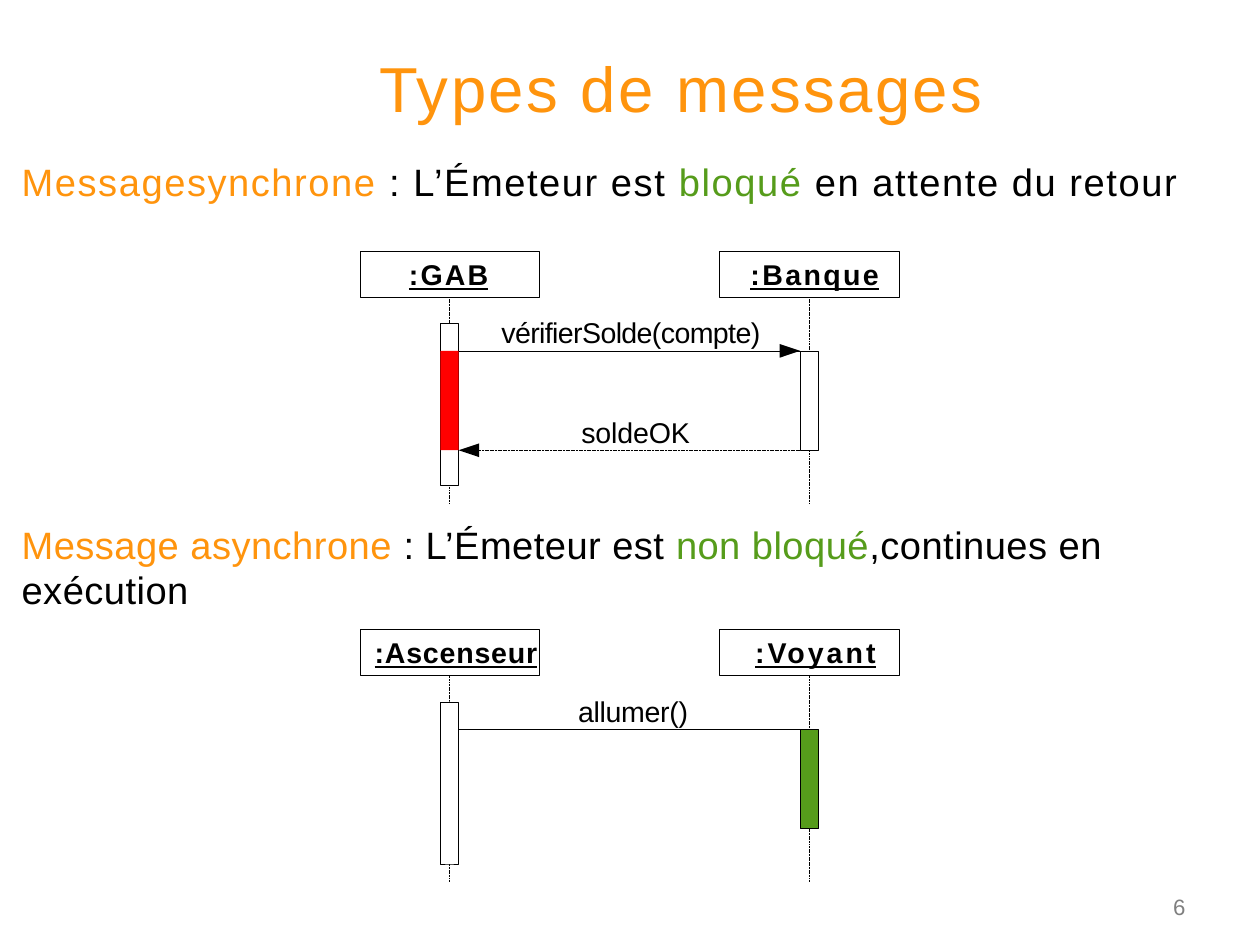
from lxml.etree import SubElement
from pptx import Presentation
from pptx.dml.color import RGBColor
from pptx.enum.dml import MSO_LINE
from pptx.enum.shapes import MSO_CONNECTOR, MSO_SHAPE
from pptx.enum.text import MSO_ANCHOR, PP_ALIGN
from pptx.oxml.ns import qn
from pptx.util import Inches, Pt

BLACK, WHITE, ORANGE, GREEN, RED, GRAY = "000000", "FFFFFF", "FF940D", "569C1B", "FF0000", "7F7F7F"
HEAD_WIDTH, HEAD_HEIGHT, HEAD_STEP = 1.57, 0.4, 3.15
BAR_WIDTH, LIFELINE_END = 0.16, 2.21
CALL_Y, REPLY_Y = 0.87, 1.74


def color(hex_string):
    """Turn a hex string into a colour."""
    return RGBColor.from_string(hex_string)


def write(shape, runs, size, spacing, inset=(0.01, 0.01), before=1, bold=False):
    """Fill a shape with one paragraph of coloured runs."""
    frame = shape.text_frame
    frame.word_wrap = True
    frame.vertical_anchor = MSO_ANCHOR.TOP
    frame.margin_left, frame.margin_top = Inches(inset[0]), Inches(inset[1])
    frame.margin_right = frame.margin_bottom = 0
    paragraph = frame.paragraphs[0]
    paragraph.alignment = PP_ALIGN.LEFT
    paragraph.space_before = Pt(before)
    for text, hex_string in runs:
        run = paragraph.add_run()
        run.text = text
        run.font.name = "Arial"
        run.font.size = Pt(size)
        run.font.bold = run.font.underline = bold
        run.font.color.rgb = color(hex_string)
        run.font._element.set("spc", str(round(spacing * 100)))


def add_text(slide, box, runs, size, spacing, **options):
    """Place a text box."""
    shape = slide.shapes.add_textbox(*map(Inches, box))
    write(shape, runs, size, spacing, **options)


def add_box(slide, box, fill=None, outlined=True):
    """Place a rectangle with a hairline outline."""
    shape = slide.shapes.add_shape(MSO_SHAPE.RECTANGLE, *map(Inches, box))
    shape.shadow.inherit = False
    if fill:
        shape.fill.solid()
        shape.fill.fore_color.rgb = color(fill)
    else:
        shape.fill.background()
    if outlined:
        shape.line.color.rgb = color(BLACK)
        shape.line.width = Pt(0.25)
    else:
        shape.line.fill.background()
    return shape


def add_line(slide, start, end, dashed=False):
    """Draw a straight hairline."""
    line = slide.shapes.add_connector(MSO_CONNECTOR.STRAIGHT, *map(Inches, start + end))
    line.line.color.rgb = color(BLACK)
    line.line.width = Pt(0.25)
    if dashed:
        line.line.dash_style = MSO_LINE.SQUARE_DOT
    SubElement(line._element.spPr, qn("a:effectLst"))
    return line


def add_arrowhead(slide, tip_x, tip_y, direction):
    """Draw a filled arrowhead pointing right (1) or left (-1)."""
    base_x = Inches(tip_x - direction * 0.18)
    builder = slide.shapes.build_freeform(base_x, Inches(tip_y - 0.06))
    builder.add_line_segments([(base_x, Inches(tip_y + 0.06)), (Inches(tip_x), Inches(tip_y))])
    arrowhead = builder.convert_to_shape()
    arrowhead.shadow.inherit = False
    arrowhead.fill.solid()
    arrowhead.fill.fore_color.rgb = color(BLACK)
    arrowhead.line.fill.background()


def add_participant(slide, left, top, head, bar_top, bar_height, bar_fill):
    """Draw a participant with its head, lifeline and activation bar."""
    name, indent, spacing = head
    center = left + HEAD_WIDTH / 2
    head_shape = add_box(slide, (left, top, HEAD_WIDTH, HEAD_HEIGHT))
    write(head_shape, [(name, BLACK)], 18, spacing, (indent, 0.05), 3.8, True)
    lifeline = add_line(slide, (center, top + HEAD_HEIGHT), (center, top + LIFELINE_END), True)
    lifeline.begin_connect(head_shape, 2)
    add_box(slide, (center - BAR_WIDTH / 2, top + bar_top, BAR_WIDTH, bar_height), bar_fill)


def add_sequence(slide, left, top, sender, receiver, call, reply=None, receiver_fill=WHITE):
    """Draw a two-participant diagram, blocking the sender if there is a reply."""
    blocked_height = REPLY_Y - CALL_Y
    add_participant(slide, left, top, sender, 0.63, 1.42, WHITE)
    add_participant(slide, left + HEAD_STEP, top, receiver, CALL_Y, blocked_height, receiver_fill)
    start = left + (HEAD_WIDTH + BAR_WIDTH) / 2
    end = start + HEAD_STEP - BAR_WIDTH
    call_y, reply_y = top + CALL_Y, top + REPLY_Y
    add_line(slide, (start, call_y), (end, call_y))
    messages = [(call, call_y)]
    if reply:
        add_arrowhead(slide, end, call_y, 1)
        add_line(slide, (end, reply_y), (start + 0.18, reply_y), True)
        add_arrowhead(slide, start, reply_y, -1)
        add_box(slide, (start - BAR_WIDTH, call_y, BAR_WIDTH, blocked_height), RED, False)
        messages.append((reply, reply_y))
    for (text, offset, width, spacing), line_y in messages:
        add_text(slide, (left + offset, line_y - 0.32, width, 0.33), [(text, BLACK)], 18, spacing)


def add_texts(slide):
    """Place the title, the two definitions and the page number."""
    add_text(slide, (3.31, 0.42, 6.12, 0.69), [("Types de messages", ORANGE)], 40, 1.6)
    add_text(slide, (0.18, 1.38, 10.68, 0.42), [
        ("Messagesynchrone ", ORANGE), (": L’Émeteur est ", BLACK),
        ("bloqué ", GREEN), ("en attente du retour", BLACK)], 24, 1)
    add_text(slide, (0.18, 4.55, 10.76, 0.82), [
        ("Message asynchrone ", ORANGE), (": L’Émeteur est ", BLACK),
        ("non bloqué", GREEN), (",continues en exécution", BLACK)], 24, 0.3)
    add_text(slide, (10.23, 7.78, 0.39, 0.31), [("6", GRAY)], 14, 6.2, inset=(0.04, 0.04), before=3.1)


def main():
    """Build and save the slide."""
    presentation = Presentation()
    presentation.slide_width, presentation.slide_height = Inches(11.03), Inches(8.26)
    slide = presentation.slides.add_slide(presentation.slide_layouts[6])
    add_texts(slide)
    add_sequence(slide, 3.15, 2.2, (":GAB", 0.43, 1.4), (":Banque", 0.27, 1.5),
                 ("vérifierSolde(compte)", 1.23, 2.41, -0.4), ("soldeOK", 1.93, 1.1, -0.1))
    add_sequence(slide, 3.15, 5.51, (":Ascenseur", 0.13, 0.5), (":Voyant", 0.31, 1.9),
                 ("allumer()", 1.9, 1.12, -0.2), receiver_fill=GREEN)
    presentation.save("out.pptx")


if __name__ == "__main__":
    main()
